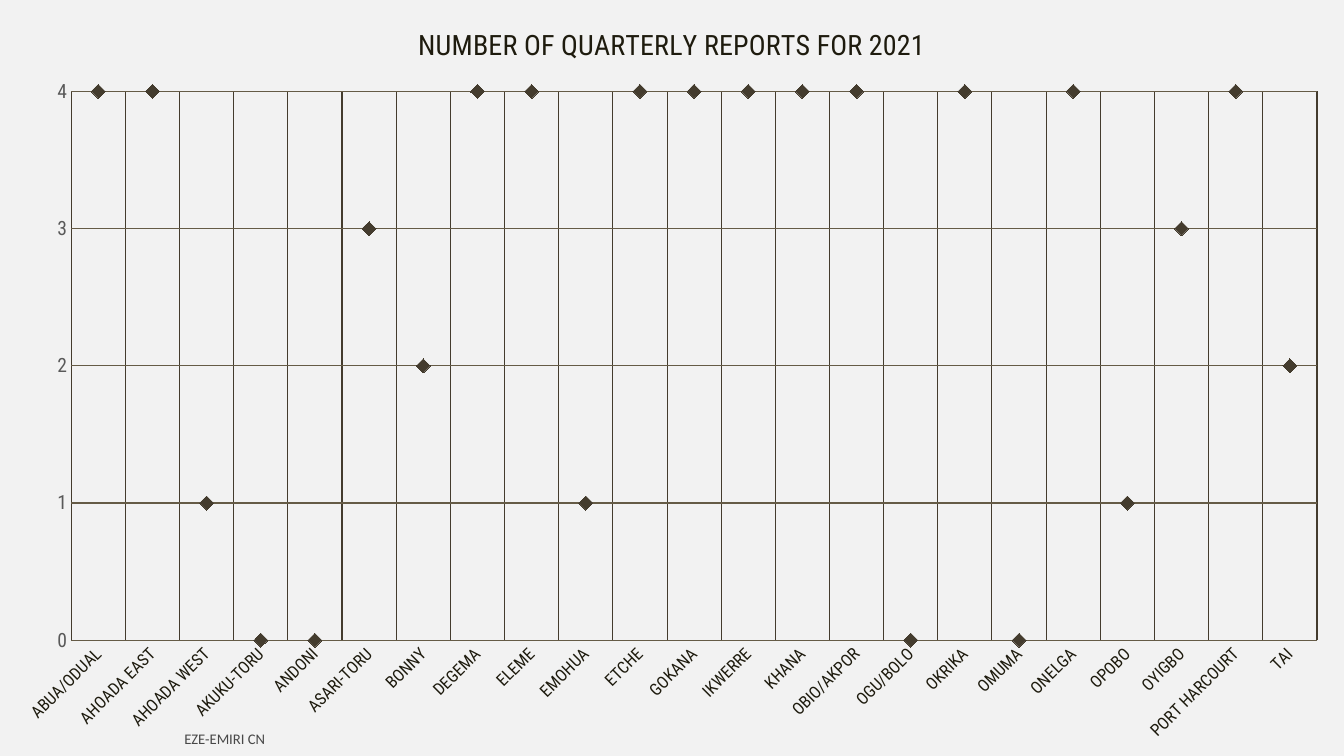
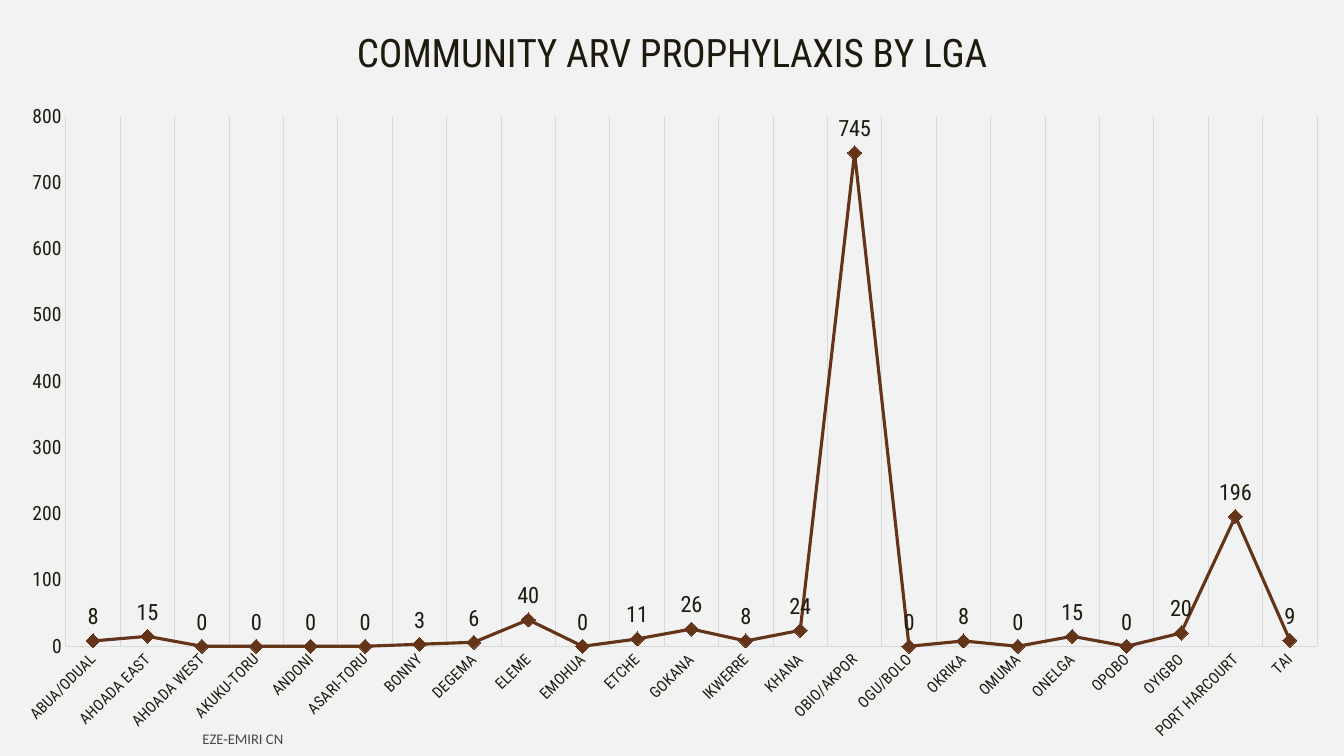
from lxml import etree
from pptx import Presentation
from pptx.chart.data import CategoryChartData
from pptx.dml.color import RGBColor
from pptx.enum.chart import XL_CHART_TYPE, XL_LABEL_POSITION, XL_MARKER_STYLE, XL_TICK_MARK
from pptx.enum.text import MSO_ANCHOR
from pptx.oxml import parse_xml
from pptx.oxml.ns import nsdecls, qn
from pptx.util import Inches, Pt

COLORS = {
    "background": "F2F2F2",
    "ink": "1E1B0E",
    "grey": "595959",
    "olive": "655B46",
    "dark": "443C2E",
    "pale": "D9D9D9",
    "brown": "643418",
    "black": "000000",
}
HEADING_FONT = "Roboto Condensed"
FOOTER_FONT = "Calibri"
FOOTER = "EZE-EMIRI CN"
WIDTH, HEIGHT = Inches(13.33), Inches(7.5)

AREAS = [
    "ABUA/ODUAL", "AHOADA EAST", "AHOADA WEST", "AKUKU-TORU", "ANDONI", "ASARI-TORU",
    "BONNY", "DEGEMA", "ELEME", "EMOHUA", "ETCHE", "GOKANA", "IKWERRE", "KHANA",
    "OBIO/AKPOR", "OGU/BOLO", "OKRIKA", "OMUMA", "ONELGA", "OPOBO", "OYIGBO",
    "PORT HARCOURT", "TAI",
]
REPORTS = [4, 4, 1, 0, 0, 3, 2, 4, 4, 1, 4, 4, 4, 4, 4, 0, 4, 0, 4, 1, 3, 4, 2]
PROPHYLAXIS = [8, 15, 0, 0, 0, 0, 3, 6, 40, 0, 11, 26, 8, 24, 745, 0, 8, 0, 15, 0, 20, 196, 9]


def rgb(name):
    return RGBColor.from_string(COLORS[name])


def style_font(font, size, color="ink", name=HEADING_FONT):
    font.size, font.name, font.bold = Pt(size), name, False
    font.color.rgb = rgb(color)


def write_text(text_frame, text, opacity=None, **font_format):
    run = text_frame.paragraphs[0].add_run()
    run.text = text
    style_font(run.font, **font_format)
    if opacity is not None:
        color = run._r.get_or_add_rPr().find(".//" + qn("a:srgbClr"))
        etree.SubElement(color, qn("a:alpha")).set("val", str(opacity * 1000))


def style_line(line, color, width=0.75):
    """Colour a line, or hide it when the colour is None."""
    if color is None:
        line.fill.background()
    else:
        line.color.rgb = rgb(color)
        line.width = Pt(width)


def style_axis(axis, size, color, line, grid):
    axis.major_tick_mark = axis.minor_tick_mark = XL_TICK_MARK.NONE
    style_font(axis.tick_labels.font, size, color)
    style_line(axis.format.line, line)
    axis.has_major_gridlines = grid is not None
    if grid:
        style_line(axis.major_gridlines.format.line, grid)


def place_plot(chart, left, top, width, height):
    """Fix the inner plot area, given as shares of the chart."""
    plot_area = chart._chartSpace.chart.plotArea
    for layout in plot_area.findall(qn("c:layout")):
        plot_area.remove(layout)
    shares = "".join(f'<c:{tag} val="{share}"/>' for tag, share in
                     zip("xywh", (left, top, width, height)))
    plot_area.insert(0, parse_xml(
        f'<c:layout {nsdecls("c")}><c:manualLayout><c:layoutTarget val="inner"/>'
        f'<c:xMode val="edge"/><c:yMode val="edge"/>{shares}</c:manualLayout></c:layout>'))


def add_line_chart(slide, box, title, values, title_size, plot_box, top_value, step,
                   category_style, value_style, line, marker, label_size=None):
    data = CategoryChartData()
    data.categories = AREAS
    data.add_series("Series 1", values)
    chart = slide.shapes.add_chart(XL_CHART_TYPE.LINE_MARKERS, *box, data).chart
    style_font(chart.font, 10, "black", FOOTER_FONT)
    chart.has_legend = False
    chart.has_title = True
    write_text(chart.chart_title.text_frame, title, size=title_size)
    place_plot(chart, *plot_box)

    style_axis(chart.category_axis, **category_style)
    body = chart.category_axis._element.find(qn("c:txPr")).find(qn("a:bodyPr"))
    body.set("rot", str(-45 * 60000))
    style_axis(chart.value_axis, **value_style)
    chart.value_axis.minimum_scale = 0
    chart.value_axis.maximum_scale = top_value
    chart.value_axis.major_unit = step

    plot = chart.plots[0]
    plot.vary_by_categories = False
    series = plot.series[0]
    series.smooth = False
    style_line(series.format.line, line, 2.25)
    series.marker.style, series.marker.size = XL_MARKER_STYLE.DIAMOND, 10
    series.marker.format.fill.solid()
    series.marker.format.fill.fore_color.rgb = rgb(marker)
    style_line(series.marker.format.line, marker)
    if label_size:
        labels = series.data_labels
        labels.show_value = True
        labels.position = XL_LABEL_POSITION.ABOVE
        style_font(labels.font, label_size)


def add_footer(slide, left):
    box = slide.shapes.add_textbox(left, Inches(7.15), Inches(6.45), Inches(0.35))
    box.text_frame.word_wrap = True
    box.text_frame.vertical_anchor = MSO_ANCHOR.MIDDLE
    write_text(box.text_frame, FOOTER, opacity=70, size=10.5, color="black", name=FOOTER_FONT)


def add_chart_slide(presentation, footer_left, **chart_format):
    slide = presentation.slides.add_slide(presentation.slide_layouts[6])
    add_line_chart(slide, (0, 0, WIDTH, HEIGHT), **chart_format)
    add_footer(slide, footer_left)


def main():
    presentation = Presentation()
    presentation.slide_width, presentation.slide_height = WIDTH, HEIGHT
    background = presentation.slide_master.background.fill
    background.solid()
    background.fore_color.rgb = rgb("background")

    add_chart_slide(
        presentation, Inches(1.73),
        title="NUMBER OF QUARTERLY REPORTS FOR 2021", title_size=20, values=REPORTS,
        plot_box=(0.053, 0.121, 0.927, 0.726), top_value=4, step=1,
        category_style=dict(size=12, color="ink", line="olive", grid="dark"),
        value_style=dict(size=14, color="grey", line=None, grid="olive"),
        line=None, marker="dark")
    add_chart_slide(
        presentation, Inches(1.91),
        title="COMMUNITY ARV PROPHYLAXIS BY LGA", title_size=28, values=PROPHYLAXIS,
        plot_box=(0.049, 0.154, 0.931, 0.701), top_value=800, step=100,
        category_style=dict(size=11, color="ink", line="pale", grid="pale"),
        value_style=dict(size=14, color="ink", line=None, grid=None),
        line="brown", marker="brown", label_size=16)
    presentation.save("out.pptx")


if __name__ == "__main__":
    main()
